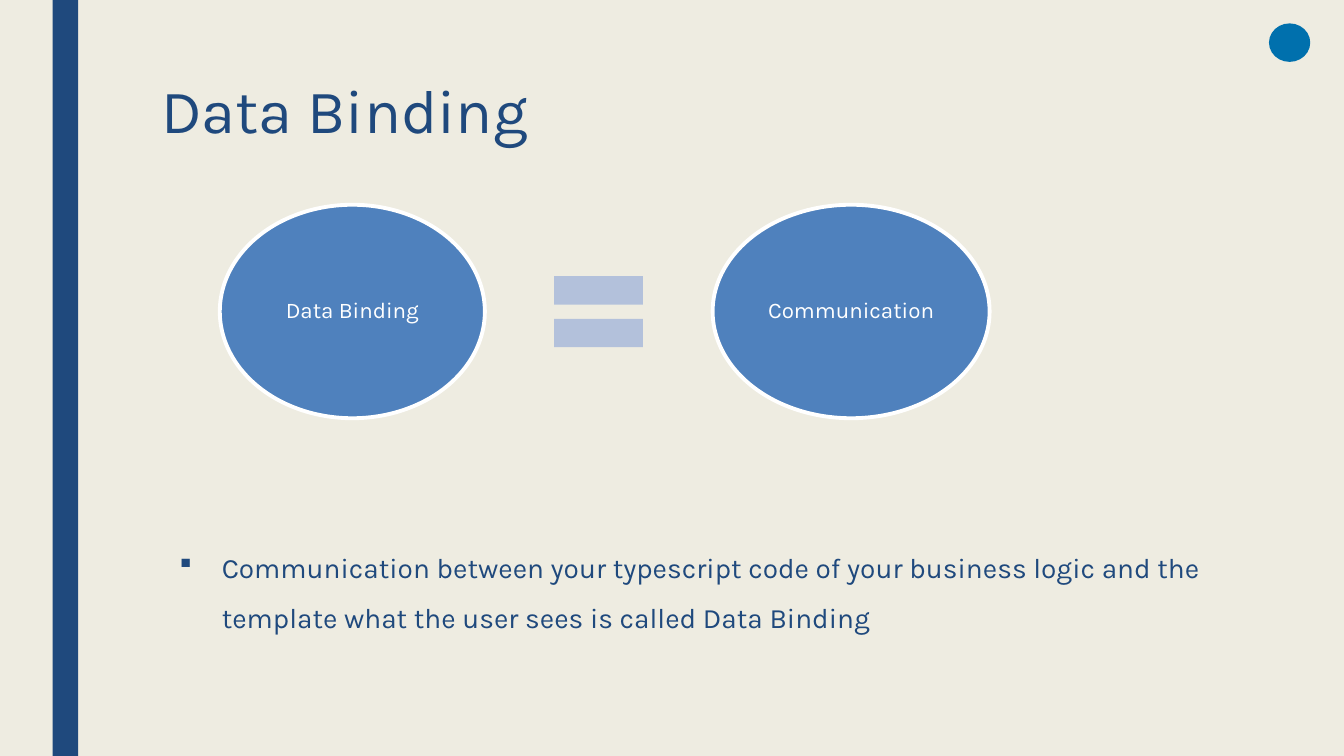
from pptx import Presentation
from pptx.dml.color import RGBColor
from pptx.enum.shapes import MSO_SHAPE
from pptx.enum.text import MSO_ANCHOR, PP_ALIGN
from pptx.oxml import parse_xml
from pptx.oxml.ns import nsdecls
from pptx.util import Cm, Pt


def tint(fill, code):
    fill.solid()
    fill.fore_color.rgb = RGBColor.from_string(code)


def write(frame, text, size, code, form):
    frame.word_wrap = True
    para = frame.paragraphs[0]
    para.text = text
    for key, val in form.items():
        setattr(para, key, val)
    font = para.runs[0].font
    for key, val in {"name": "Karla", "size": Pt(size)}.items():
        setattr(font, key, val)
    tint(font.fill, code)
    return para


NAVY, WHITE = "1F497D", "FFFFFF"

deck = Presentation()
deck.slide_width, deck.slide_height = Cm(33.87), Cm(19.05)
slide = deck.slides.add_slide(deck.slide_layouts[5])
tint(slide.background.fill, "EEECE1")

title = slide.shapes.title
place = {"left": Cm(3.81), "top": Cm(1.91), "width": Cm(26.67), "height": Cm(2.34)}
for key, val in place.items():
    setattr(title, key, val)
title.text_frame.vertical_anchor = MSO_ANCHOR.TOP
write(title.text_frame, "Data Binding", 44, NAVY,
      {"alignment": PP_ALIGN.LEFT, "line_spacing": 0.89})

parts = [
    (MSO_SHAPE.RECTANGLE, 1.33, 0, 0.64, 19.05, NAVY, ""),
    (MSO_SHAPE.OVAL, 31.98, 0.59, 1.04, 0.97, "0070AD", ""),
    (MSO_SHAPE.OVAL, 5.54, 5.16, 6.68, 5.38, "4F81BD", "Data Binding"),
    (MSO_SHAPE.MATH_EQUAL, 13.56, 6.33, 3.05, 3.05, "B3C1DB", ""),
    (MSO_SHAPE.OVAL, 17.96, 5.16, 6.98, 5.38, "4F81BD", "Communication"),
]
for kind, left, top, wide, high, code, text in parts:
    shape = slide.shapes.add_shape(kind, Cm(left), Cm(top), Cm(wide), Cm(high))
    shape.shadow.inherit = False
    tint(shape.fill, code)
    shape.line.fill.background()
    if text:
        tint(shape.line.fill, WHITE)
        shape.line.width = Pt(2.75)
        frame = shape.text_frame
        form = {"vertical_anchor": MSO_ANCHOR.MIDDLE}
        for side in ("left", "top", "right", "bottom"):
            form["margin_" + side] = Cm(0.05)
        for key, val in form.items():
            setattr(frame, key, val)
        write(frame, text, 16, WHITE,
              {"alignment": PP_ALIGN.CENTER, "line_spacing": 0.9})

body = slide.shapes.add_textbox(Cm(4.27), Cm(13.32), Cm(26.67), Cm(5.5))
point = write(
    body.text_frame,
    "Communication between your typescript code of your business logic and the "
    "template what the user sees is called Data Binding",
    20, NAVY,
    {"line_spacing": 1.5, "space_before": Pt(10), "space_after": Pt(2)})
props = point._p.get_or_add_pPr()
props.set("marL", str(Cm(1.07)))
props.set("indent", str(Cm(-1.07)))
for mark in ('buFont {} typeface="Wingdings"', 'buChar {} char="§"'):
    props.append(parse_xml(f"<a:{mark.format(nsdecls('a'))}/>"))

deck.save("out.pptx")
